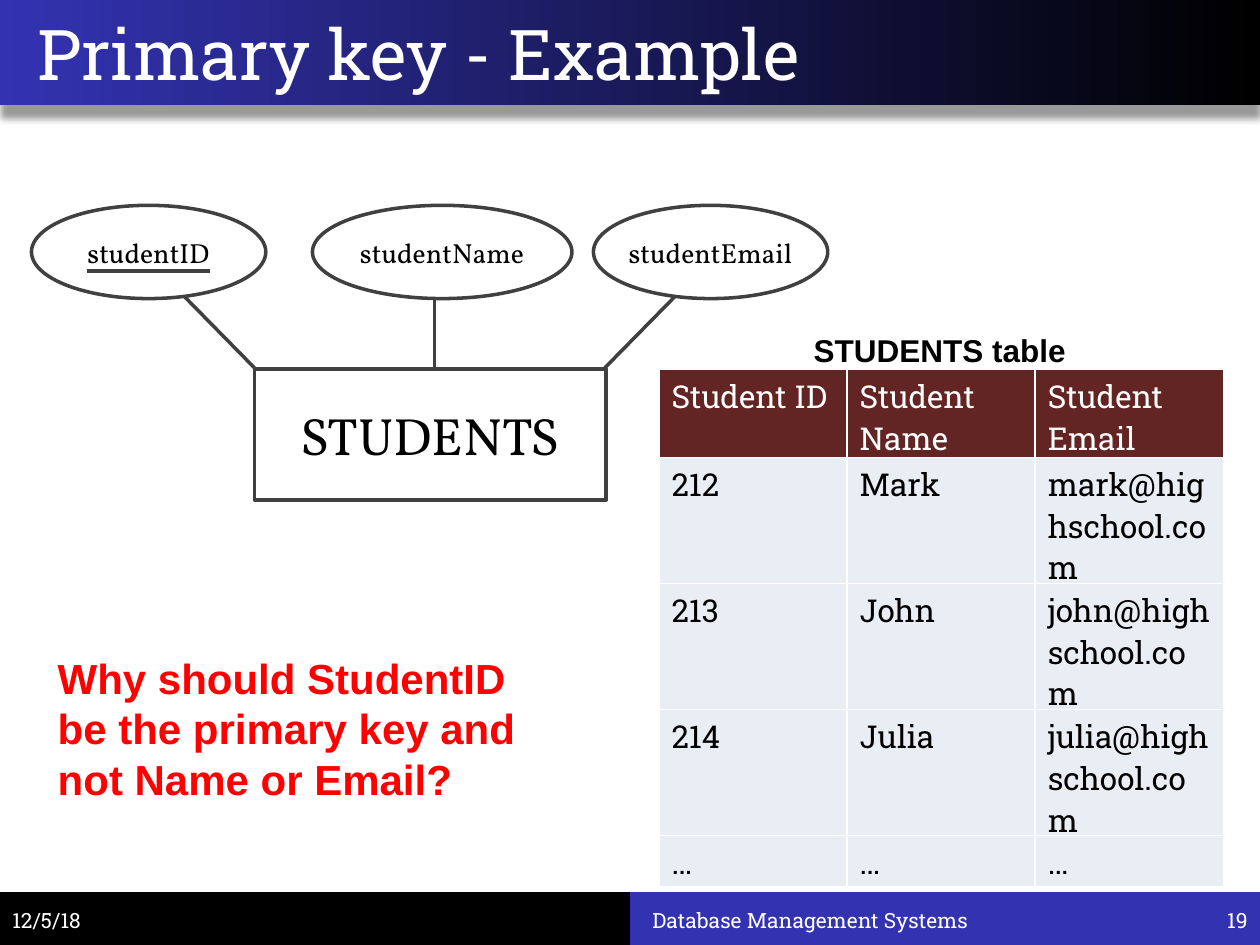
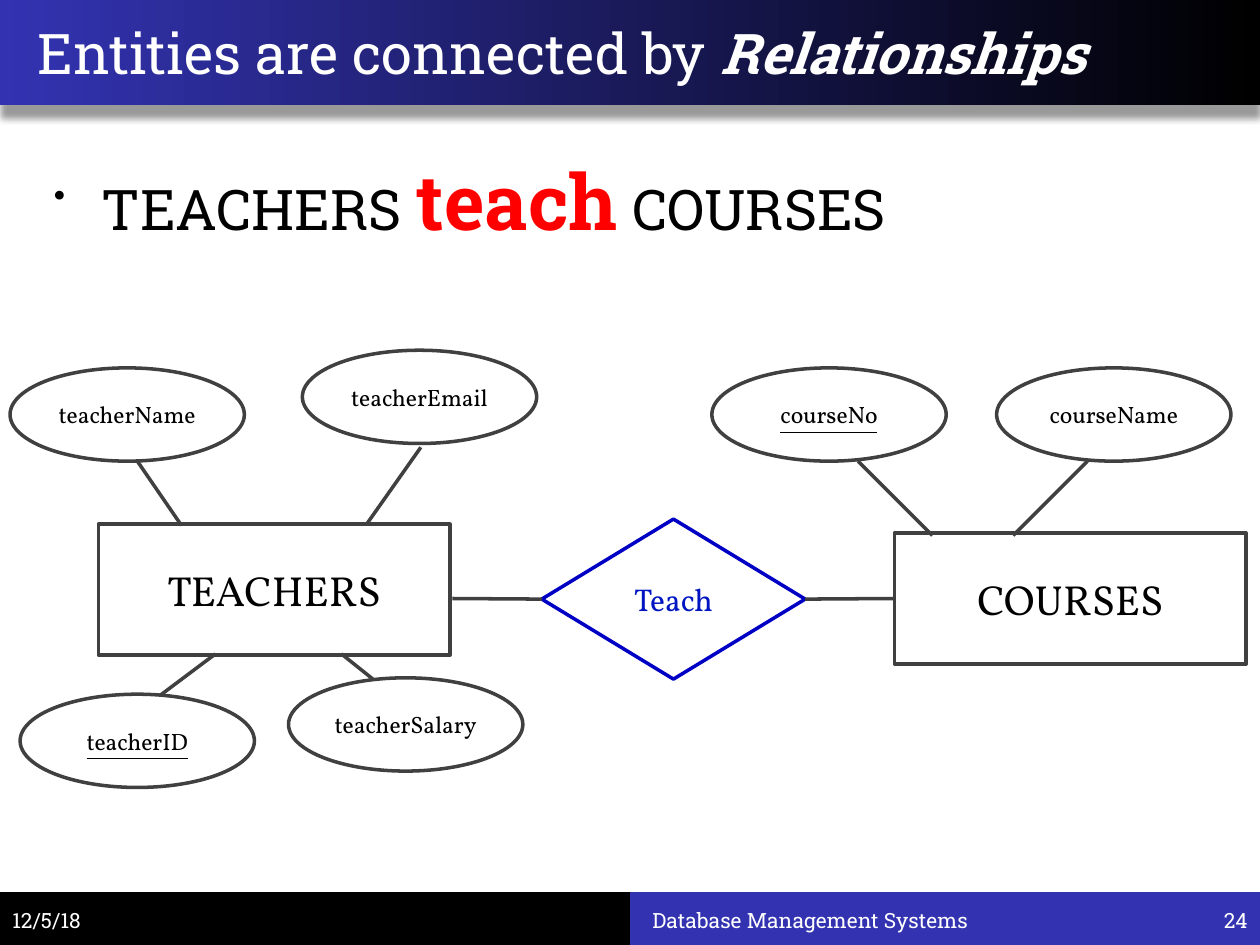
from dataclasses import dataclass

from lxml.etree import SubElement
from pptx import Presentation
from pptx.dml.color import RGBColor
from pptx.enum.shapes import MSO_CONNECTOR, MSO_SHAPE
from pptx.enum.text import MSO_ANCHOR, PP_ALIGN
from pptx.oxml.ns import qn
from pptx.util import Emu, Inches, Pt

COLUMNS, ROWS = 100, 75
WIDTH, HEIGHT = Inches(10), Inches(7.5)
OVAL = 18.6, 7.4
ENTITY = 27.9, 10.4


@dataclass(frozen=True)
class Theme:
    """Colours, fonts and type sizes of the presentation."""

    blue: RGBColor = RGBColor(0x33, 0x33, 0xB2)
    black: RGBColor = RGBColor(0, 0, 0)
    white: RGBColor = RGBColor(255, 255, 255)
    red: RGBColor = RGBColor(255, 0, 0)
    outline: RGBColor = RGBColor(0x40, 0x40, 0x40)
    relation_line: RGBColor = RGBColor(0, 0, 0xC5)
    relation_text: RGBColor = RGBColor(0, 0x15, 0xC1)
    table_head: RGBColor = RGBColor(0x63, 0x25, 0x23)
    table_body: RGBColor = RGBColor(0xE9, 0xED, 0xF4)
    slab: str = "Roboto Slab"
    serif: str = "Vollkorn"
    sans: str = "Arial"
    line: float = 2
    footer: float = 12
    attribute: float = 13.5
    wide_attribute: float = 15.8
    label: float = 18
    entity: float = 24
    wide_entity: float = 30
    heading: float = 32
    big_heading: float = 40
    emphasis: float = 44


THEME = Theme()


def across(columns):
    """Turn grid columns into a length."""
    return Emu(round(WIDTH * columns / COLUMNS))


def down(rows):
    """Turn grid rows into a length."""
    return Emu(round(HEIGHT * rows / ROWS))


def place(left, top, width, height):
    """Turn a grid area into a position and size."""
    return across(left), down(top), across(width), down(height)


def set_font(font, size, name, color, bold=False):
    """Apply the main text properties to a font."""
    font.size, font.name, font.bold = Pt(size), name, bold
    font.color.rgb = color


def indent(paragraph, left, first=0):
    """Set the left margin and first-line indent in columns."""
    properties = paragraph._p.get_or_add_pPr()
    properties.set("marL", str(across(left)))
    properties.set("indent", str(across(first)))
    return properties


def add_text(slide, area, text, size, name=THEME.slab, color=THEME.white,
             bold=False, anchor=MSO_ANCHOR.MIDDLE, align=PP_ALIGN.LEFT):
    """Add a wrapped text box and return its paragraph."""
    frame = slide.shapes.add_textbox(*place(*area)).text_frame
    frame.word_wrap, frame.vertical_anchor = True, anchor
    paragraph = frame.paragraphs[0]
    paragraph.text, paragraph.alignment = text, align
    set_font(paragraph.font, size, name, color, bold)
    return paragraph


def add_band(slide, area, color):
    """Add a plain coloured band."""
    band = slide.shapes.add_shape(MSO_SHAPE.RECTANGLE, *place(*area))
    band.shadow.inherit = False
    band.line.fill.background()
    band.fill.solid()
    band.fill.fore_color.rgb = color
    return band


def add_title_band(slide):
    """Add the gradient band with its soft shadow."""
    band = add_band(slide, (0, 0, COLUMNS, 8.33), THEME.blue)
    band.fill.gradient()
    band.fill.gradient_angle = 180
    for stop, color in zip(band.fill.gradient_stops, (THEME.black, THEME.blue)):
        stop.color.rgb = color
    effects = band._element.spPr.find(qn("a:effectLst"))
    shadow = SubElement(effects, qn("a:outerShdw"), blurRad=str(Pt(4)),
                        dist=str(Pt(7)), dir="5400000", rotWithShape="0")
    color = SubElement(shadow, qn("a:srgbClr"), val=str(THEME.black))
    SubElement(color, qn("a:alpha"), val="40000")


def add_slide(presentation, title, size, number):
    """Add a slide with title and footer; return it and the title paragraph."""
    slide = presentation.slides.add_slide(presentation.slide_layouts[6])
    half = COLUMNS / 2
    add_band(slide, (half, 70.8, half, 4.2), THEME.blue)
    add_band(slide, (0, 70.8, half, 4.2), THEME.black)
    add_title_band(slide)
    heading = add_text(slide, (0, 0, 97.5, 8.33), title, size)
    indent(heading, 2)
    add_text(slide, (0, 71, 11.7, 4), "12/5/18", THEME.footer)
    add_text(slide, (50.8, 71, 39.2, 4), "Database Management Systems", THEME.footer)
    add_text(slide, (94.2, 71, 5.8, 4), str(number), THEME.footer, align=PP_ALIGN.RIGHT)
    return slide, heading


def add_node(slide, kind, area, text, size, color=THEME.black,
             outline=THEME.outline, underline=False):
    """Add an outlined diagram shape with centred text."""
    node = slide.shapes.add_shape(kind, *place(*area))
    node.shadow.inherit = False
    node.fill.background()
    node.line.color.rgb, node.line.width = outline, Pt(THEME.line)
    frame = node.text_frame
    frame.margin_left = frame.margin_right = frame.margin_top = frame.margin_bottom = 0
    frame.vertical_anchor = MSO_ANCHOR.MIDDLE
    paragraph = frame.paragraphs[0]
    paragraph.text, paragraph.alignment = text, PP_ALIGN.CENTER
    set_font(paragraph.font, size, THEME.serif, color)
    paragraph.font.underline = underline
    return node


def add_line(slide, left, top, right, bottom):
    """Add a straight diagram line between two grid points."""
    line = slide.shapes.add_connector(MSO_CONNECTOR.STRAIGHT, across(left), down(top),
                                      across(right), down(bottom))
    line.line.color.rgb, line.line.width = THEME.outline, Pt(THEME.line)
    SubElement(line._element.spPr, qn("a:effectLst"))
    return line


def add_table(slide, left, top, column_width, heights, records):
    """Add a table with a dark head row and a light body."""
    width = column_width * len(records[0])
    area = place(left, top, width, sum(heights))
    table = slide.shapes.add_table(len(records), len(records[0]), *area).table
    table.horz_banding = False
    for column in table.columns:
        column.width = across(column_width)
    for index, (row, height, record) in enumerate(zip(table.rows, heights, records)):
        row.height = down(height)
        fill, ink = ((THEME.table_body, THEME.black) if index
                     else (THEME.table_head, THEME.white))
        for cell, text in zip(row.cells, record):
            cell.fill.solid()
            cell.fill.fore_color.rgb = fill
            cell.text = text
            set_font(cell.text_frame.paragraphs[0].font, THEME.label, THEME.slab, ink)


def add_bullet(slide, area, parts):
    """Add a bulleted line from text, size, colour and weight parts."""
    paragraph = add_text(slide, area, "", THEME.heading, color=THEME.black,
                         anchor=MSO_ANCHOR.TOP)
    properties = indent(paragraph, 3.8, -3.8)
    defaults = properties.find(qn("a:defRPr"))
    for tag, value in (("a:buSzPct", {"val": "60000"}), ("a:buChar", {"char": "•"})):
        defaults.addprevious(SubElement(properties, qn(tag), value))
    for text, size, color, bold in parts:
        run = paragraph.add_run()
        run.text = text
        set_font(run.font, size, THEME.slab, color, bold)


def build_primary_key(presentation):
    """Build the slide on choosing a primary key."""
    slide, _ = add_slide(presentation, "Primary key - Example", THEME.big_heading, 19)
    add_node(slide, MSO_SHAPE.RECTANGLE, (20.2, 29.3, *ENTITY), "STUDENTS",
             THEME.wide_entity)
    for left, width, text in ((2.5, 18.6, "studentID"), (24.8, 20.6, "studentName"),
                              (47.1, 18.6, "studentEmail")):
        add_node(slide, MSO_SHAPE.OVAL, (left, 16.3, width, OVAL[1]), text,
                 THEME.wide_attribute)
    for ends in ((14.6, 23.5, 20.2, 29.2), (34.5, 23.8, 34.5, 29.3),
                 (53.6, 23.5, 48, 29.2), (6.9, 21.5, 16.7, 21.5)):
        add_line(slide, *ends)
    add_text(slide, (63.6, 25.8, 35.8, 4.2), "STUDENTS table", THEME.label, THEME.sans,
             THEME.black, True, MSO_ANCHOR.TOP)
    add_text(slide, (3.6, 51.3, 41.8, 13.1),
             "Why should StudentID be the primary key and not Name or Email?",
             THEME.entity, THEME.sans, THEME.red, True, MSO_ANCHOR.TOP)
    add_table(slide, 52.3, 29.3, 14.93, (6.9, 10, 10, 10, 4.1), (
        ("Student ID", "Student Name", "Student Email"),
        ("212", "Mark", "mark@highschool.com"),
        ("213", "John", "john@highschool.com"),
        ("214", "Julia", "julia@highschool.com"),
        ("…", "…", "…")))


def build_relationships(presentation):
    """Build the slide on relationships between entities."""
    slide, heading = add_slide(presentation, "Entities are connected by ",
                               THEME.heading, 24)
    run = heading.add_run()
    run.text, run.font.bold, run.font.italic = "Relationships", True, True
    add_bullet(slide, (3.3, 11.7, 91.7, 55.3), (
        ("TEACHERS ", THEME.heading, THEME.black, False),
        ("teach", THEME.emphasis, THEME.red, True),
        (" COURSES", THEME.heading, THEME.black, False)))
    add_node(slide, MSO_SHAPE.RECTANGLE, (7.8, 41.6, *ENTITY), "TEACHERS", THEME.entity)
    courses = add_node(slide, MSO_SHAPE.RECTANGLE, (71, 42.3, *ENTITY), "COURSES",
                       THEME.entity)
    teach = add_node(slide, MSO_SHAPE.DIAMOND, (43, 41.2, 20.9, 12.7), "Teach",
                     THEME.label, THEME.relation_text, THEME.relation_line)
    for left, top, text, is_key in (
            (0.8, 29.2, "teacherName", False), (24, 27.8, "teacherEmail", False),
            (1.6, 55.1, "teacherID", True), (22.9, 53.8, "teacherSalary", False),
            (56.5, 29.2, "courseNo", True), (79.1, 29.2, "courseName", False)):
        add_node(slide, MSO_SHAPE.OVAL, (left, top, *OVAL), text, THEME.attribute,
                 underline=is_key)
    for ends in ((10.9, 36.6, 14.4, 41.7), (33.4, 35.5, 29.1, 41.6),
                 (17.1, 51.9, 12.7, 55.2), (27.1, 51.9, 29.6, 53.9),
                 (68.1, 36.6, 74, 42.5), (86.3, 36.6, 80.4, 42.5)):
        add_line(slide, *ends)
    add_line(slide, 35.9, 47.5, 43, 47.5).end_connect(teach, 1)
    teach_to_courses = add_line(slide, 63.9, 47.5, 71, 47.5)
    teach_to_courses.begin_connect(teach, 3)
    teach_to_courses.end_connect(courses, 1)


def main():
    """Build and save the presentation."""
    presentation = Presentation()
    presentation.slide_width, presentation.slide_height = WIDTH, HEIGHT
    build_primary_key(presentation)
    build_relationships(presentation)
    presentation.save("out.pptx")


if __name__ == "__main__":
    main()
